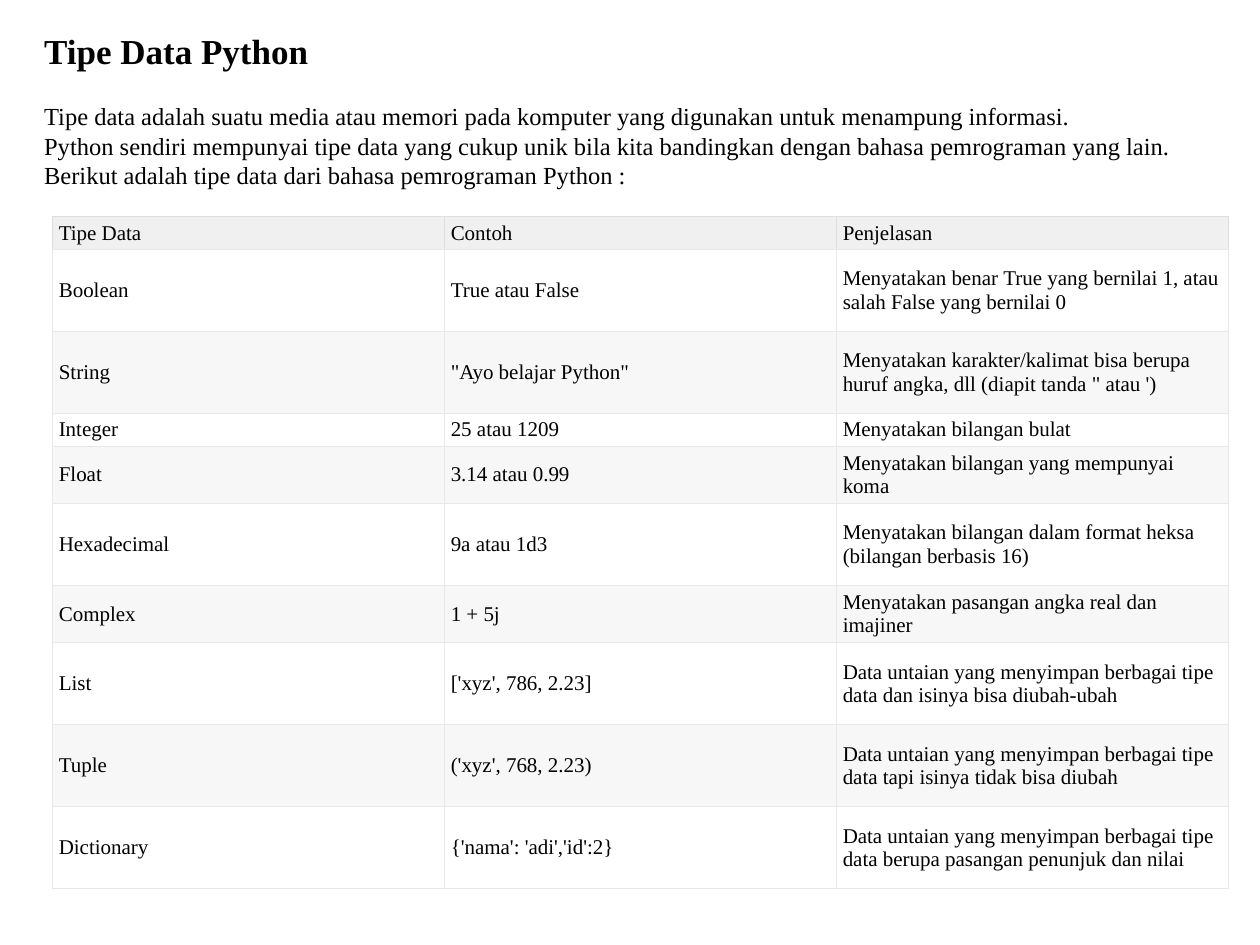
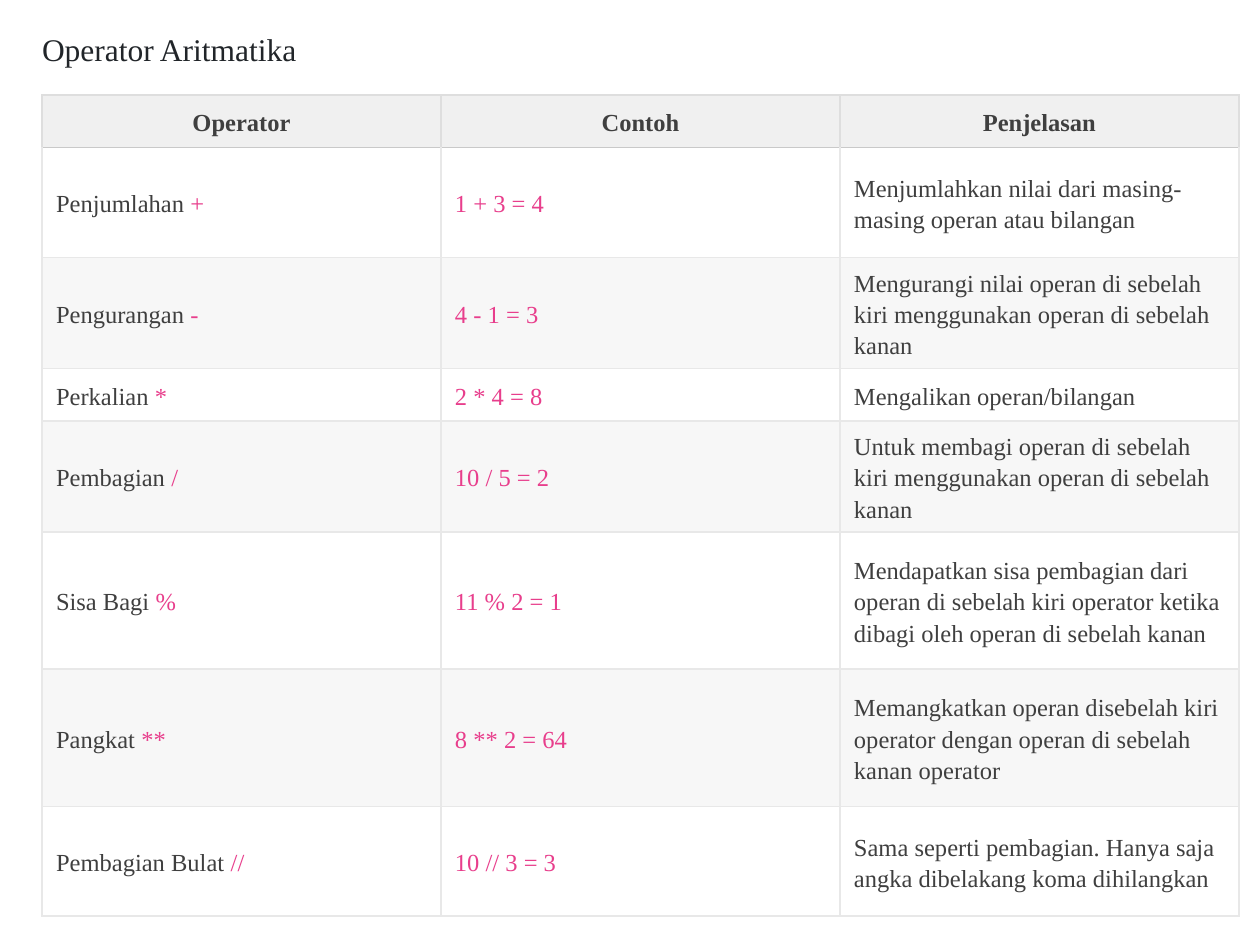
from collections import namedtuple
from dataclasses import dataclass

from lxml.etree import SubElement
from pptx import Presentation
from pptx.dml.color import RGBColor
from pptx.enum.text import MSO_ANCHOR as Anchor, MSO_AUTO_SIZE as AutoSize, PP_ALIGN as Align
from pptx.oxml.ns import qn
from pptx.util import Pt

Box = namedtuple("Box", "left top width height")


@dataclass(frozen=True)
class Theme:
    font: str = "Times New Roman"
    black: str = "000000"
    heading: str = "212529"
    gray: str = "3F3F3F"
    pink: str = "E83E8C"
    white: str = "FFFFFF"
    band: str = "F7F7F7"
    header: str = "F0F0F0"
    header_line: str = "DEDEDE"
    header_rule: str = "C9C9C9"
    grid: str = "E8E8E8"
    title_size: float = 20
    subtitle_size: float = 18
    body_size: float = 14
    table_size: float = 12


@dataclass(frozen=True)
class TableStyle:
    size: float
    color: str
    line: float
    rule: str  # line below the header row
    margins: tuple  # horizontal, vertical
    header_bold: bool = False
    header_align: Align = Align.LEFT
    spacing: float = 1
    after: float = 0


THEME = Theme()
TYPES_STYLE = TableStyle(THEME.table_size, THEME.black, 0.75, THEME.grid, (3.6, 2.2))
OPERATORS_STYLE = TableStyle(THEME.body_size, THEME.gray, 1, THEME.header_rule, (8, 5),
                             True, Align.CENTER, 1.15, 17.3)

# Texts: "~" stands for a non-breaking space
INTRO = [
    "Tipe data adalah suatu media atau memori pada komputer yang digunakan untuk menampung informasi.",
    "Python sendiri mempunyai tipe data yang cukup unik bila kita bandingkan dengan bahasa "
    "pemrograman yang lain.",
    "Berikut adalah tipe data dari bahasa pemrograman Python :",
]
TYPES = [
    ("Tipe Data", "Contoh", "Penjelasan"),
    ("Boolean", "True~atau~False",
     "Menyatakan benar~True~yang bernilai~1, atau salah~False~yang bernilai~0"),
    ("String", '"Ayo belajar Python"',
     "Menyatakan karakter/kalimat bisa berupa huruf angka, dll (diapit tanda~\"~atau~')"),
    ("Integer", "25~atau~1209", "Menyatakan bilangan bulat"),
    ("Float", "3.14~atau~0.99", "Menyatakan bilangan yang mempunyai koma"),
    ("Hexadecimal", "9a~atau~1d3",
     "Menyatakan bilangan dalam format heksa (bilangan berbasis 16)"),
    ("Complex", "1 + 5j", "Menyatakan pasangan angka real dan imajiner"),
    ("List", "['xyz', 786, 2.23]",
     "Data untaian yang menyimpan berbagai tipe data dan isinya bisa diubah-ubah"),
    ("Tuple", "('xyz', 768, 2.23)",
     "Data untaian yang menyimpan berbagai tipe data tapi isinya tidak bisa diubah"),
    ("Dictionary", "{'nama': 'adi','id':2}",
     "Data untaian yang menyimpan berbagai tipe data berupa pasangan penunjuk dan nilai"),
]
OPERATORS_HEADER = ("Operator", "Contoh", "Penjelasan")
OPERATORS = [
    ("Penjumlahan", "+", "1 + 3 = 4",
     "Menjumlahkan nilai dari masing-masing operan atau bilangan"),
    ("Pengurangan", "-", "4 - 1 = 3",
     "Mengurangi nilai operan di sebelah kiri menggunakan operan di sebelah kanan"),
    ("Perkalian", "*", "2 * 4 = 8", "Mengalikan operan/bilangan"),
    ("Pembagian", "/", "10 / 5 = 2",
     "Untuk membagi operan di sebelah kiri menggunakan operan di sebelah kanan"),
    ("Sisa Bagi", "%", "11 % 2 = 1",
     "Mendapatkan sisa pembagian dari operan di sebelah kiri operator ketika dibagi oleh "
     "operan di sebelah kanan"),
    ("Pangkat", "**", "8 ** 2 = 64",
     "Memangkatkan operan disebelah kiri operator dengan operan di sebelah kanan operator"),
    ("Pembagian Bulat", "//", "10 // 3 = 3",
     "Sama seperti pembagian. Hanya saja angka dibelakang koma dihilangkan"),
]


def write(frame, paragraphs, size, color, bold=False, align=Align.LEFT, spacing=1, after=0):
    """Fill a frame; a paragraph is a string or a list of (text, colour) spans."""
    for index, content in enumerate(paragraphs):
        para = frame.paragraphs[0] if index == 0 else frame.add_paragraph()
        para.alignment = align
        para.line_spacing = spacing
        para.space_before, para.space_after = Pt(0), Pt(after)
        spans = [(content, color)] if isinstance(content, str) else content
        for text, span_color in spans:
            span = para.add_run()
            span.text = text.replace("~", "\u00a0")
            span.font.name, span.font.size, span.font.bold = THEME.font, Pt(size), bold
            span.font.color.rgb = RGBColor.from_string(span_color)


def place_text(holder, box, paragraphs, inset=7.2, **text_format):
    """Move a placeholder to its box and fill it with unbulleted text."""
    holder.left, holder.top, holder.width, holder.height = (Pt(length) for length in box)
    frame = holder.text_frame
    frame.auto_size, frame.word_wrap = AutoSize.NONE, True
    frame.vertical_anchor = Anchor.MIDDLE
    frame.margin_left = frame.margin_right = Pt(inset)
    write(frame, paragraphs, **text_format)
    for para in frame.paragraphs:
        properties = para._p.get_or_add_pPr()
        properties.set("marL", "0")
        properties.set("indent", "0")
        SubElement(properties, qn("a:buNone"))


def draw_borders(cell, colors, width):
    """Draw the left, right, top and bottom lines of a cell."""
    properties = cell._tc.get_or_add_tcPr()
    for side, color in zip("LRTB", colors):
        line = SubElement(properties, qn(f"a:ln{side}"), w=str(int(Pt(width))))
        fill = SubElement(line, qn("a:solidFill"))
        SubElement(fill, qn("a:srgbClr"), val=color)


def place_table(page, box, rows, heights, style):
    """Build a table with equal columns, a header row and banded rows."""
    count = len(rows[0])
    table = page.shapes.add_table(len(rows), count, *(Pt(length) for length in box)).table
    table.first_row = table.horz_banding = False
    for column in table.columns:
        column.width = Pt(box.width / count)
    for row_index, (texts, height) in enumerate(zip(rows, heights)):
        table.rows[row_index].height = Pt(height)
        is_header = row_index == 0
        if is_header:
            fill, borders = THEME.header, [THEME.header_line] * 3 + [style.rule]
        else:
            fill = THEME.white if row_index % 2 else THEME.band
            top = style.rule if row_index == 1 else THEME.grid
            borders = [THEME.grid, THEME.grid, top, THEME.grid]
        for column_index, text in enumerate(texts):
            cell = table.cell(row_index, column_index)
            draw_borders(cell, borders, style.line)
            cell.fill.solid()
            cell.fill.fore_color.rgb = RGBColor.from_string(fill)
            cell.vertical_anchor = Anchor.MIDDLE
            cell.margin_left = cell.margin_right = Pt(style.margins[0])
            cell.margin_top = cell.margin_bottom = Pt(style.margins[1])
            write(cell.text_frame, [text], size=style.size, color=style.color,
                  bold=is_header and style.header_bold,
                  align=style.header_align if is_header else Align.LEFT,
                  spacing=style.spacing, after=style.after)


def add_types_page(deck):
    page = deck.slides.add_slide(deck.slide_layouts[1])
    place_text(page.shapes.title, Box(18, 12, 708, 34), ["Tipe Data Python"],
               size=THEME.title_size, color=THEME.black, bold=True, align=Align.JUSTIFY)
    place_text(page.placeholders[1], Box(18, 54, 708, 58), INTRO,
               size=THEME.body_size, color=THEME.black, align=Align.JUSTIFY)
    single, double, tall = 18.8, 32.8, 46.8
    heights = [single, tall, tall, single, double, tall, double, tall, tall, tall]
    place_table(page, Box(30, 123.8, 672, sum(heights)), TYPES, heights, TYPES_STYLE)


def add_operators_page(deck):
    page = deck.slides.add_slide(deck.slide_layouts[5])
    place_text(page.shapes.title, Box(24, 12, 186, 32), ["Operator Aritmatika"], inset=0,
               size=THEME.subtitle_size, color=THEME.heading)
    # Operator signs and examples stand out in pink
    rows = [OPERATORS_HEADER] + [
        ([(name + "~", THEME.gray), (sign, THEME.pink)], [(example, THEME.pink)], meaning)
        for name, sign, example, meaning in OPERATORS]
    single, middle, tall = 30.2, 62.8, 78.4
    heights = [single, middle, middle, single, middle, tall, tall, middle]
    place_table(page, Box(24, 54.2, 684, sum(heights)), rows, heights, OPERATORS_STYLE)


deck = Presentation()
deck.slide_width, deck.slide_height = Pt(720), Pt(540)
add_types_page(deck)
add_operators_page(deck)
deck.save("out.pptx")
